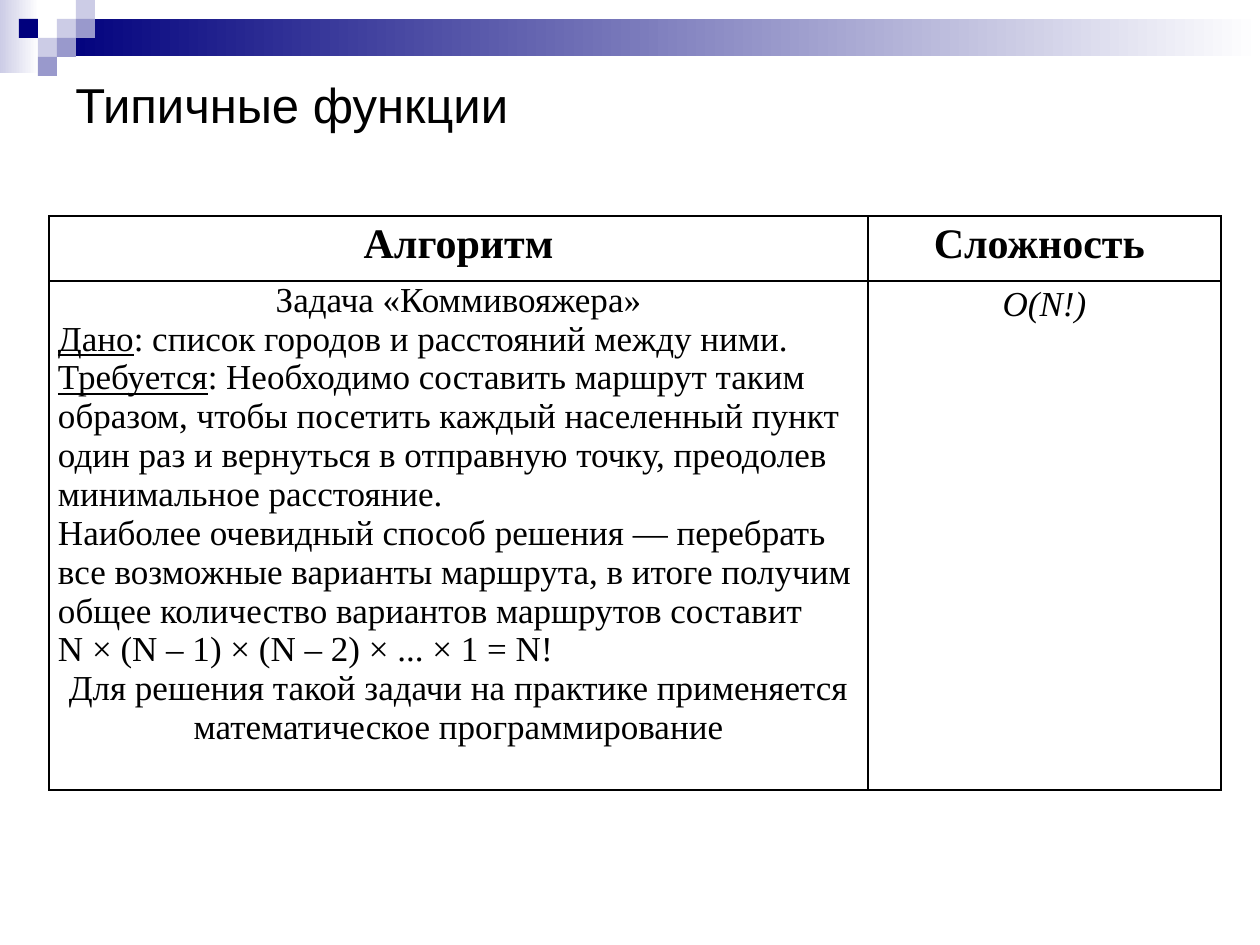
from lxml.etree import SubElement
from pptx import Presentation
from pptx.dml.color import RGBColor
from pptx.enum.shapes import MSO_SHAPE
from pptx.enum.text import MSO_ANCHOR, PP_ALIGN
from pptx.oxml.ns import qn
from pptx.util import Emu, Pt

PX = 914400 / 126

BLACK = RGBColor(0x00, 0x00, 0x00)
WHITE = RGBColor(0xFF, 0xFF, 0xFF)
NAVY = RGBColor(0x00, 0x00, 0x7D)
LILAC = RGBColor(0xCC, 0xCC, 0xE6)
VIOLET = RGBColor(0x99, 0x99, 0xCC)

SQUARE = 19
# Column, row and colour of each small square
MOSAIC = [(3, 1, LILAC), (4, 0, LILAC), (4, 1, VIOLET), (2, 2, LILAC),
          (1, 1, NAVY), (3, 2, VIOLET), (2, 3, VIOLET)]

COLUMNS = [819, 353]
ROWS = [65, 509]
HEADERS = ["Алгоритм", "Сложность "]
# Underlined lead, text and alignment of each paragraph
PROBLEM = [
    ("", "Задача «Коммивояжера»", PP_ALIGN.CENTER),
    ("Дано", ": список городов и расстояний между ними.", PP_ALIGN.LEFT),
    ("Требуется", ": Необходимо составить маршрут таким образом, чтобы посетить "
     "каждый населенный пункт один раз и вернуться в отправную точку, преодолев "
     "минимальное расстояние.", PP_ALIGN.LEFT),
    ("", "Наиболее очевидный способ решения — перебрать все возможные варианты "
     "маршрута, в итоге получим общее количество вариантов маршрутов составит",
     PP_ALIGN.LEFT),
    ("", "N × (N – 1) × (N – 2) × ... × 1 = N!", PP_ALIGN.LEFT),
    ("", "Для решения такой задачи на практике применяется математическое "
     "программирование", PP_ALIGN.CENTER),
]


def px(n):
    return Emu(round(n * PX))


def add_rect(slide, x, y, w, h, color, fade_to=None):
    sp = slide.shapes.add_shape(MSO_SHAPE.RECTANGLE, px(x), px(y), px(w), px(h))
    sp.shadow.inherit = False
    sp.line.fill.background()
    if fade_to is None:
        sp.fill.solid()
        sp.fill.fore_color.rgb = color
        return
    sp.fill.gradient()
    sp.fill.gradient_angle = 0
    for stop, rgb, position in zip(sp.fill.gradient_stops, (color, fade_to), (0, 1)):
        stop.color.rgb = rgb
        stop.position = position


def style_run(r, size, name="Times New Roman", bold=False, italic=False, underline=False):
    font = r.font
    font.size, font.name = Pt(size), name
    font.bold, font.italic, font.underline = bold, italic, underline
    font.color.rgb = BLACK


def add_title(slide, text):
    tf = slide.shapes.add_textbox(px(63), px(63), px(1134), px(82)).text_frame
    tf.word_wrap = True
    tf.vertical_anchor = MSO_ANCHOR.MIDDLE
    tf.text = text
    style_run(tf.paragraphs[0].runs[0], 28, "Arial")


def frame_cell(cell):
    cell.margin_left = cell.margin_right = px(9)
    cell.margin_top = cell.margin_bottom = 0
    tc_pr = cell._tc.get_or_add_tcPr()
    for side in ("a:lnL", "a:lnR", "a:lnT", "a:lnB"):
        ln = SubElement(tc_pr, qn(side), w=str(Pt(1)))
        fill = SubElement(ln, qn("a:solidFill"))
        SubElement(fill, qn("a:srgbClr"), val=str(BLACK))
    cell.fill.background()


def fill_short_cell(cell, text, size, **style):
    cell.text_frame.text = text
    p = cell.text_frame.paragraphs[0]
    p.alignment = PP_ALIGN.CENTER
    p.line_spacing = 1.1
    p.space_before = p.space_after = Pt(3)
    style_run(p.runs[0], size, **style)


def fill_problem_cell(cell):
    tf = cell.text_frame
    for i, (lead, text, alignment) in enumerate(PROBLEM):
        p = tf.add_paragraph() if i else tf.paragraphs[0]
        p.alignment = alignment
        for part, underline in ((lead, True), (text, False)):
            if part:
                r = p.add_run()
                r.text = part
                style_run(r, 20, underline=underline)


def add_complexity_table(slide):
    table = slide.shapes.add_table(len(ROWS), len(COLUMNS), px(49), px(216),
                                   px(sum(COLUMNS)), px(sum(ROWS))).table
    table.first_row = table.horz_banding = False
    for column, width in zip(table.columns, COLUMNS):
        column.width = px(width)
    for row, height in zip(table.rows, ROWS):
        row.height = px(height)
    for cell in table.iter_cells():
        frame_cell(cell)
    for i, header in enumerate(HEADERS):
        fill_short_cell(table.cell(0, i), header, 24, bold=True)
    fill_problem_cell(table.cell(1, 0))
    fill_short_cell(table.cell(1, 1), "O(N!)", 20, italic=True)


def main():
    prs = Presentation()
    prs.slide_width, prs.slide_height = px(1260), px(945)
    slide = prs.slides.add_slide(prs.slide_layouts[6])

    # Header band and mosaic
    add_rect(slide, 0, 0, 39, 73, LILAC, WHITE)
    add_rect(slide, 57, 19, 1203, 37, NAVY, WHITE)
    for column, row, color in MOSAIC:
        add_rect(slide, column * SQUARE, row * SQUARE, SQUARE, SQUARE, color)

    # Content
    add_title(slide, "Типичные функции")
    add_complexity_table(slide)

    prs.save("out.pptx")


if __name__ == "__main__":
    main()
